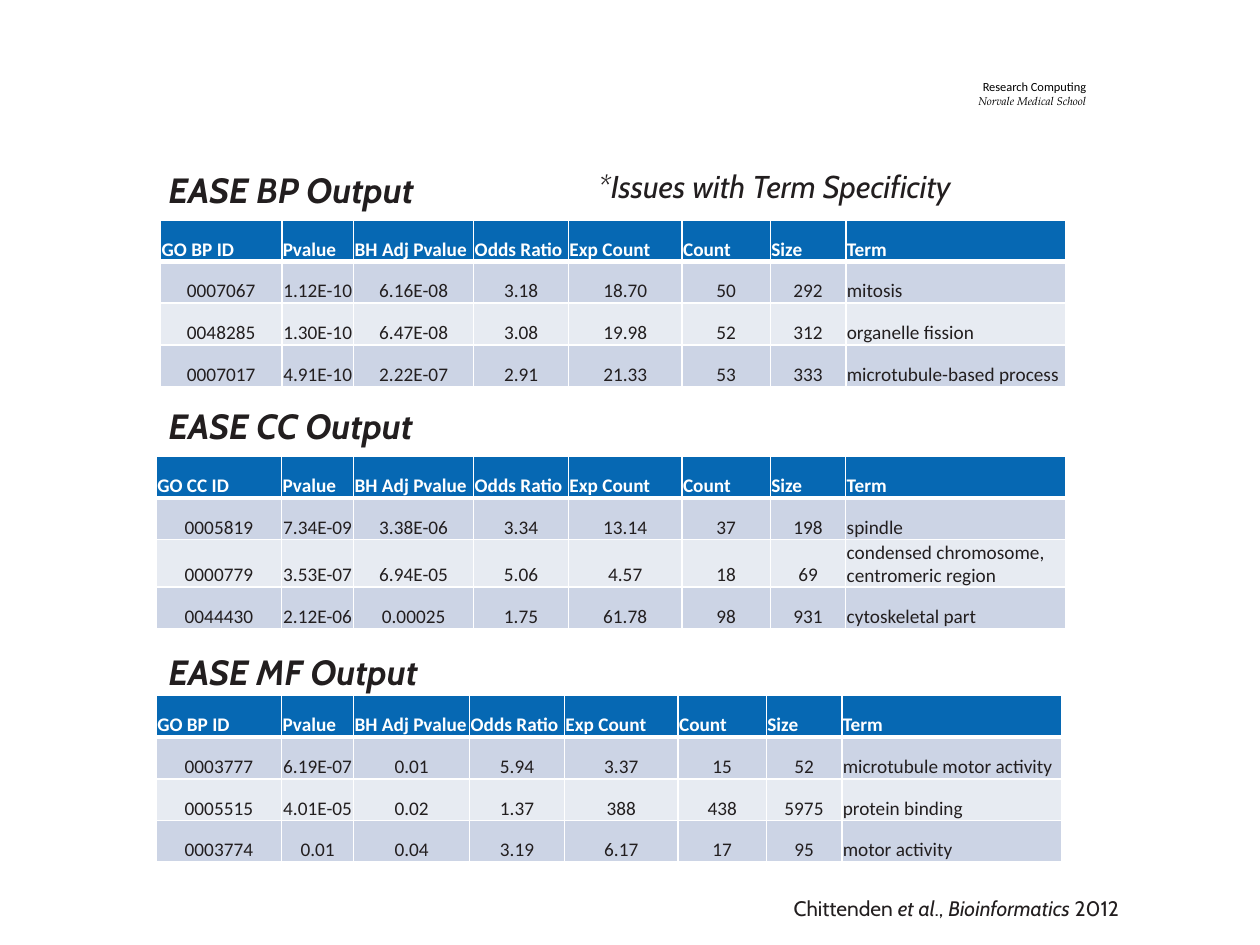
from lxml import etree
from pptx import Presentation
from pptx import util as u
from pptx.dml.color import RGBColor
from pptx.enum import text
from pptx.oxml import ns

COLORS = {
    "ink": "221E1F",
    "black": "000000",
    "white": "FFFFFF",
    "header": "0668B3",
    "odd": "CCD4E5",
    "even": "E7EBF2",
}
MEASURES = ["Pvalue", "BH Adj Pvalue", "Odds Ratio", "Exp Count", "Count", "Size", "Term"]
SHARED_WIDTHS = [1.91, 2.29, 1.78, 1.52, 4.43]
ROW_HEIGHT = 0.84
LEFT = 3.15

BP_ROWS = [
    ["0007067", "1.12E-10", "6.16E-08", "3.18", "18.70", "50", "292", "mitosis"],
    ["0048285", "1.30E-10", "6.47E-08", "3.08", "19.98", "52", "312", "organelle fission"],
    ["0007017", "4.91E-10", "2.22E-07", "2.91", "21.33", "53", "333", "microtubule-based process"],
]
CC_ROWS = [
    ["0005819", "7.34E-09", "3.38E-06", "3.34", "13.14", "37", "198", "spindle"],
    ["0000779", "3.53E-07", "6.94E-05", "5.06", "4.57", "18", "69",
     "condensed chromosome, centromeric region"],
    ["0044430", "2.12E-06", "0.00025", "1.75", "61.78", "98", "931", "cytoskeletal part"],
]
MF_ROWS = [
    ["0003777", "6.19E-07", "0.01", "5.94", "3.37", "15", "52", "microtubule motor activity"],
    ["0005515", "4.01E-05", "0.02", "1.37", "388", "438", "5975", "protein binding"],
    ["0003774", "0.01", "0.04", "3.19", "6.17", "17", "95", "motor activity"],
]


def add_span(para, words, font="Cabin", size=12, color="ink", bold=False, italic=False):
    span = para.add_run()
    span.text = words
    span.font.name = font
    span.font.size = u.Pt(size)
    span.font.bold = bold
    span.font.italic = italic
    span.font.color.rgb = RGBColor.from_string(COLORS[color])


def add_box(page, left, top, width, height):
    box = page.shapes.add_textbox(u.Cm(left), u.Cm(top), u.Cm(width), u.Cm(height))
    box.text_frame.word_wrap = True
    return box.text_frame


def add_label(page, words, left, top, width, height, **style):
    frame = add_box(page, left, top, width, height)
    add_span(frame.paragraphs[0], words, italic=True, **style)


def add_masthead(page):
    frame = add_box(page, 15.62, 1.04, 6.43, 1.68)
    frame.vertical_anchor = text.MSO_ANCHOR.MIDDLE
    frame.margin_left = frame.margin_right = u.Cm(0.15)
    frame.margin_top = frame.margin_bottom = u.Cm(0.08)
    unit, school = frame.paragraphs[0], frame.add_paragraph()
    unit.alignment = school.alignment = text.PP_ALIGN.RIGHT
    add_span(unit, "Research Computing", font="Calibri", size=7.1, color="black")
    add_span(school, "Norvale Medical School", font="TeX Gyre Pagella", size=6.5,
             color="black", italic=True)


def add_citation(page):
    para = add_box(page, 15.75, 17.93, 9.14, 0.76).paragraphs[0]
    parts = ["Chittenden ", "et al", "., ", "Bioinformatics", " 2012"]
    for index, words in enumerate(parts):
        add_span(para, words, italic=index % 2 == 1)


def set_borders(cell, **widths):
    properties = cell._tc.get_or_add_tcPr()
    for index, side in enumerate("LRTB"):
        line = etree.Element(ns.qn(f"a:ln{side}"), w=str(u.Pt(widths.get(side, 1))))
        fill = etree.SubElement(line, ns.qn("a:solidFill"))
        etree.SubElement(fill, ns.qn("a:srgbClr"), val=COLORS["white"])
        properties.insert(index, line)


def fill_cell(cell, words, fill, centered, **style):
    cell.fill.solid()
    cell.fill.fore_color.rgb = RGBColor.from_string(COLORS[fill])
    cell.vertical_anchor = text.MSO_ANCHOR.BOTTOM
    cell.margin_left = cell.margin_right = cell.margin_top = u.Cm(0.02)
    cell.margin_bottom = 0
    para = cell.text_frame.paragraphs[0]
    para.alignment = text.PP_ALIGN.CENTER if centered else text.PP_ALIGN.LEFT
    add_span(para, words, font="Calibri", size=11, **style)


def add_results(page, left, top, first_widths, id_name, rows):
    widths = first_widths + SHARED_WIDTHS
    lines = [[id_name] + MEASURES] + rows
    table = page.shapes.add_table(
        len(lines), len(widths), u.Cm(left), u.Cm(top),
        u.Cm(sum(widths)), u.Cm(ROW_HEIGHT * len(lines))).table
    for column, width in zip(table.columns, widths):
        column.width = u.Cm(width)
    for row_index, line in enumerate(lines):
        table.rows[row_index].height = u.Cm(ROW_HEIGHT)
        for column_index, words in enumerate(line):
            cell = table.cell(row_index, column_index)
            if row_index == 0:
                fill_cell(cell, words, "header", False, color="white", bold=True)
                set_borders(cell, B=3)
            else:
                fill = "odd" if row_index % 2 else "even"
                fill_cell(cell, words, fill, column_index < len(widths) - 1)
                set_borders(cell, T=3 if row_index == 1 else 1)


def main():
    deck = Presentation()
    deck.slide_width, deck.slide_height = u.Cm(25.4), u.Cm(19.05)
    page = deck.slides.add_slide(deck.slide_layouts[6])

    add_masthead(page)
    add_results(page, 3.24, 4.43, [2.44, 1.45, 2.42], "GO BP ID", BP_ROWS)
    add_results(page, LEFT, 9.2, [2.53, 1.45, 2.42], "GO CC ID", CC_ROWS)
    add_results(page, LEFT, 14.02, [2.53, 1.45, 2.34], "GO BP ID", MF_ROWS)
    for name, top in [("BP", 3.28), ("CC", 8.03), ("MF", 12.98)]:
        add_label(page, f"EASE {name} Output", LEFT, top, 10.52, 1.12, size=20, bold=True)
    add_citation(page)
    add_label(page, "*Issues with Term Specificity", 11.81, 3.25, 9.58, 1.02, size=18)

    deck.save("out.pptx")


if __name__ == "__main__":
    main()
